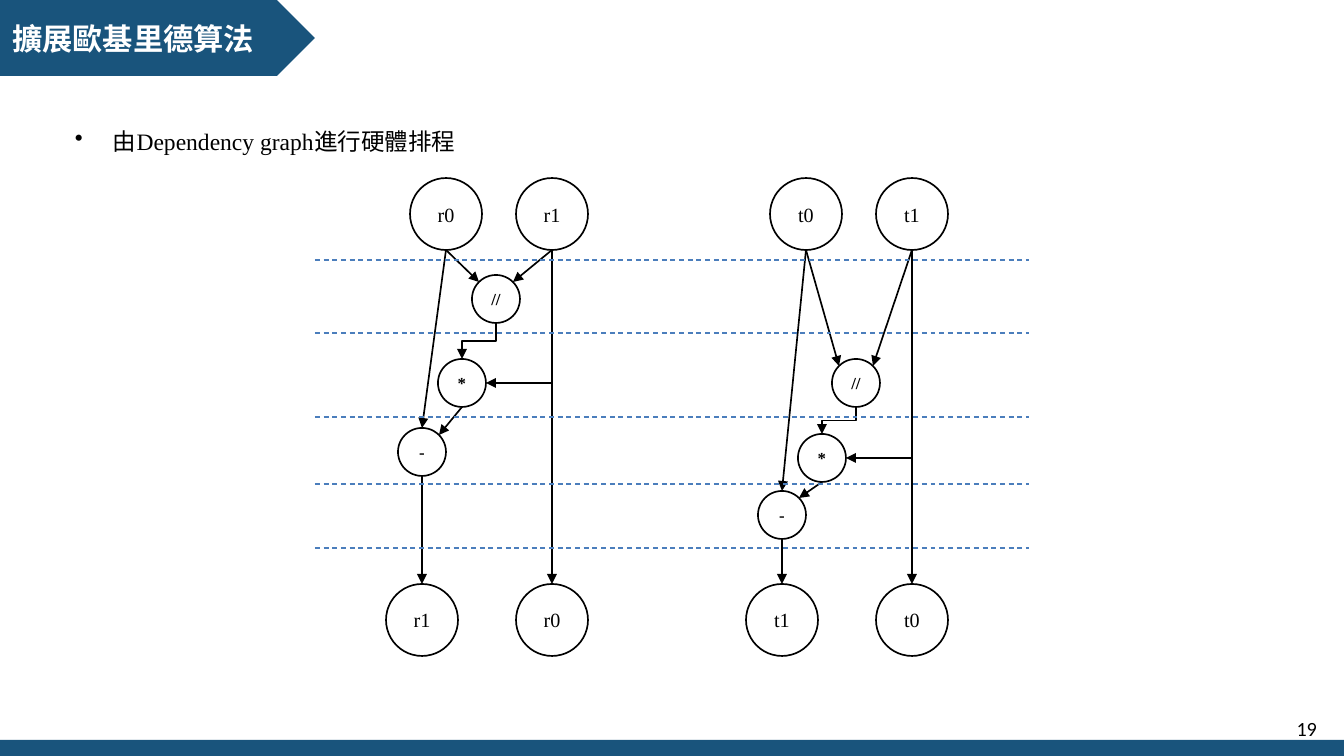
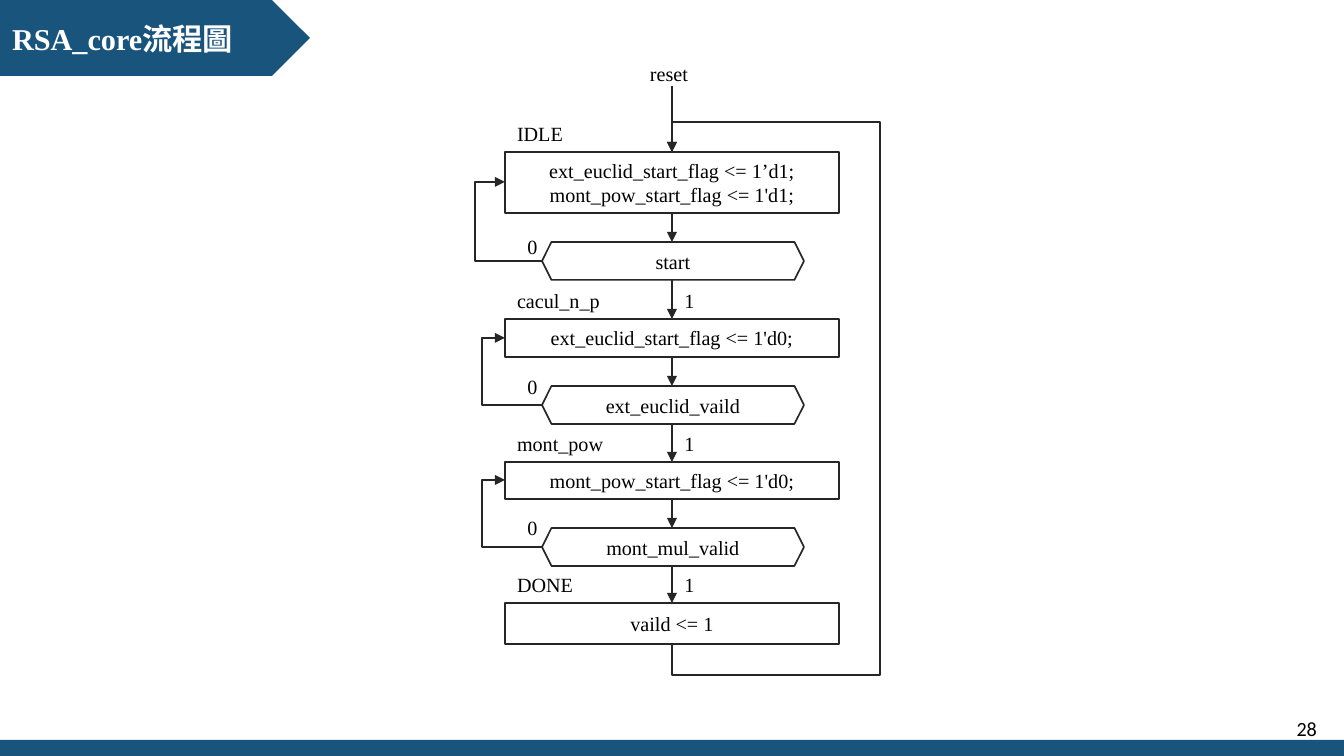
from dataclasses import dataclass
from typing import Any

from lxml import etree
from pptx import Presentation
from pptx import util as u
from pptx.dml.color import RGBColor
from pptx.enum import dml, shapes, text
from pptx.oxml.ns import qn

# Shared look
PX = 914400 / 121
WIDTH, HEIGHT = 1344, 756
NAVY = RGBColor(0x19, 0x54, 0x7C)
BLUE = RGBColor(0x4B, 0x7E, 0xBC)
DARK = RGBColor(0x26, 0x26, 0x26)
BLACK = RGBColor(0, 0, 0)
WHITE = RGBColor(0xFF, 0xFF, 0xFF)
SERIF, SANS = "Times New Roman", "Calibri"
LEFT, CENTER, RIGHT = text.PP_ALIGN.LEFT, text.PP_ALIGN.CENTER, text.PP_ALIGN.RIGHT
TOP, MIDDLE = text.MSO_ANCHOR.TOP, text.MSO_ANCHOR.MIDDLE
Kind = shapes.MSO_SHAPE
Point = tuple[int, int]


@dataclass(frozen=True)
class Box:
    left: int
    top: int
    width: int
    height: int


@dataclass(frozen=True)
class Graph:
    left: int
    name: str
    divide_y: int
    times_y: int
    minus_y: int


@dataclass(frozen=True)
class State:
    name: str
    top: int
    height: int
    code: str
    test: str = ""
    test_top: int = 0
    zero_top: int = 0
    loop_x: int = 0


def emu(pixels: float) -> int:
    return round(pixels * PX)


def assign(target: Any, values: dict[str, Any]) -> None:
    for name, value in values.items():
        setattr(target, name, value)


def place(box: Box) -> tuple[int, int, int, int]:
    return emu(box.left), emu(box.top), emu(box.width), emu(box.height)


# Text and shapes
def write(shape: Any, words: str, size: int = 12, align: Any = CENTER, anchor: Any = MIDDLE,
          color: RGBColor = BLACK, bold: bool = False, font: str = SERIF,
          margin: int = 0, wrap: bool = False) -> None:
    frame = shape.text_frame
    frame.text = words
    assign(frame, {"auto_size": text.MSO_AUTO_SIZE.NONE, "word_wrap": wrap,
                   "vertical_anchor": anchor,
                   "margin_left": emu(margin), "margin_right": emu(margin),
                   "margin_top": emu(margin / 2), "margin_bottom": emu(margin / 2)})
    for para in frame.paragraphs:
        para.alignment = align
        for span in para.runs:
            assign(span.font, {"name": font, "size": u.Pt(size), "bold": bold})
            span.font.color.rgb = color


def add_text(page: Any, box: Box, words: str, **style: Any) -> Any:
    label = page.shapes.add_textbox(*place(box))
    write(label, words, **style)
    return label


def add_band(page: Any, kind: Any, box: Box) -> Any:
    band = page.shapes.add_shape(kind, *place(box))
    band.shadow.inherit = False
    band.fill.solid()
    band.fill.fore_color.rgb = NAVY
    band.line.fill.background()
    return band


def add_outline(page: Any, kind: Any, box: Box, words: str, color: RGBColor,
                **style: Any) -> None:
    shape = page.shapes.add_shape(kind, *place(box))
    shape.shadow.inherit = False
    shape.fill.background()
    shape.line.color.rgb = color
    shape.line.width = u.Pt(1)
    write(shape, words, **style)


# Lines
def add_head(line: Any) -> None:
    etree.SubElement(line.line._get_or_add_ln(), qn("a:tailEnd"), type="triangle")


def add_line(page: Any, start: Point, end: Point, color: RGBColor = BLACK,
             width: float = 1, head: bool = True,
             kind: Any = shapes.MSO_CONNECTOR.STRAIGHT) -> Any:
    line = page.shapes.add_connector(kind, *map(emu, (*start, *end)))
    line.line.color.rgb = color
    line.line.width = u.Pt(width)
    if head:
        add_head(line)
    etree.SubElement(line._element.spPr, qn("a:effectLst"))
    return line


def add_step_down(page: Any, start: Point, end: Point) -> None:
    """Elbow that runs down, left and down: a level elbow turned by 90 degrees."""
    middle_x, middle_y = (start[0] + end[0]) / 2, (start[1] + end[1]) / 2
    half_x, half_y = (end[1] - start[1]) / 2, (start[0] - end[0]) / 2
    elbow = add_line(page, (middle_x - half_x, middle_y - half_y),
                     (middle_x + half_x, middle_y + half_y),
                     kind=shapes.MSO_CONNECTOR.ELBOW)
    elbow._element.spPr.find(qn("a:xfrm")).set("rot", "5400000")


def add_side_loop(page: Any, start: Point, end: Point, via_x: int) -> None:
    elbow = add_line(page, start, end, DARK, kind=shapes.MSO_CONNECTOR.ELBOW)
    ratio = round(100000 * (start[0] - via_x) / (start[0] - end[0]))
    guides = elbow._element.spPr.find(qn("a:prstGeom")).get_or_add_avLst()
    etree.SubElement(guides, qn("a:gd"), name="adj1", fmla=f"val {ratio}")


def add_route(page: Any, points: list[Point]) -> None:
    corners = [(emu(x), emu(y)) for x, y in points]
    builder = page.shapes.build_freeform(*corners[0], scale=1.0)
    builder.add_line_segments(corners[1:], close=False)
    route = builder.convert_to_shape()
    route.shadow.inherit = False
    route.fill.background()
    route.line.color.rgb = DARK
    route.line.width = u.Pt(1)
    add_head(route)


def start_page(deck: Any, heading: str, band_width: int, number: int) -> Any:
    page = deck.slides.add_slide(deck.slide_layouts[5])
    band = Box(0, 0, band_width, 76)
    arrow = add_band(page, Kind.PENTAGON, band)
    page.shapes._spTree.insert(2, arrow._element)
    title = page.shapes.title
    assign(title, dict(zip(("left", "top", "width", "height"), place(band))))
    write(title, heading, size=18, align=LEFT, color=WHITE, bold=True, margin=12)
    add_band(page, Kind.RECTANGLE, Box(0, 740, WIDTH, HEIGHT - 740))
    add_text(page, Box(1016, 709, 313, 40), str(number), align=RIGHT, font=SANS,
             margin=12, wrap=True)
    return page


# Dependency graphs
BIG, SMALL = 36, 24  # radii
INPUT_Y, OUTPUT_Y = 214, 620
RULES = (260, 333, 417, 484, 548)
GRAPHS = (Graph(422, "r", 299, 383, 452), Graph(782, "t", 383, 458, 515))


def add_node(page: Any, x: int, y: int, radius: int, words: str) -> None:
    small = radius == SMALL
    add_outline(page, Kind.OVAL, Box(x - radius, y - radius, 2 * radius, 2 * radius),
                words, BLACK, size=10 if small else 12, bold=small)


def draw_graph(page: Any, graph: Graph) -> None:
    minus_x = graph.left
    first_x, times_x, divide_x, second_x = (minus_x + gap for gap in (24, 40, 74, 130))
    below_input, above_output = INPUT_Y + BIG, OUTPUT_Y - BIG
    corner = 17  # offset of a small circle's 45 degree point
    nodes = ((first_x, INPUT_Y, BIG, graph.name + "0"),
             (second_x, INPUT_Y, BIG, graph.name + "1"),
             (divide_x, graph.divide_y, SMALL, "//"),
             (times_x, graph.times_y, SMALL, "*"),
             (minus_x, graph.minus_y, SMALL, "-"),
             (minus_x, OUTPUT_Y, BIG, graph.name + "1"),
             (second_x, OUTPUT_Y, BIG, graph.name + "0"))
    for node in nodes:
        add_node(page, *node)
    arrows = (
        ((first_x, below_input), (divide_x - corner, graph.divide_y - corner)),
        ((second_x, below_input), (divide_x + corner, graph.divide_y - corner)),
        ((first_x, below_input), (minus_x, graph.minus_y - SMALL)),
        ((times_x, graph.times_y + SMALL), (minus_x + corner, graph.minus_y - corner)),
        ((second_x, below_input), (second_x, above_output)),
        ((minus_x, graph.minus_y + SMALL), (minus_x, above_output)),
        ((second_x, graph.times_y), (times_x + SMALL, graph.times_y)),
    )
    for start, end in arrows:
        add_line(page, start, end)
    add_step_down(page, (divide_x, graph.divide_y + SMALL), (times_x, graph.times_y - SMALL))


def draw_schedule(deck: Any) -> None:
    page = start_page(deck, "擴展歐基里德算法", 315, 19)
    for graph in GRAPHS:
        draw_graph(page, graph)
    for y in RULES:
        rule = add_line(page, (315, y), (1029, y), BLUE, 0.75, head=False)
        rule.line.dash_style = dml.MSO_LINE.DASH
    point = add_text(page, Box(63, 93, 1220, 60), "由Dependency graph進行硬體排程",
                     size=14, align=LEFT, anchor=TOP, margin=12, wrap=True)
    para = point.text_frame.paragraphs[0]
    layout = para._p.get_or_add_pPr()
    assign_indent = {"marL": emu(38), "indent": -emu(38)}
    for name, value in assign_indent.items():
        layout.set(name, str(value))
    etree.SubElement(layout, qn("a:buChar"), char="•")
    para.line_spacing = 2.0


# Flow chart
AXIS = 672
STATE_LEFT, STATE_WIDTH = 505, 334
TEST_LEFT, TEST_WIDTH, TEST_HEIGHT = 542, 262, 38
LABEL_RISE, LABEL_HEIGHT = 37, 36
STATES = (
    State("IDLE", 152, 61, "ext_euclid_start_flag <= 1’d1;\nmont_pow_start_flag <= 1'd1;",
          "start", 242, 228, 475),
    State("cacul_n_p", 319, 38, "ext_euclid_start_flag <= 1'd0;",
          "ext_euclid_vaild", 386, 368, 482),
    State("mont_pow", 462, 37, "mont_pow_start_flag <= 1'd0;",
          "mont_mul_valid", 528, 509, 482),
    State("DONE", 603, 41, "vaild <= 1"),
)


def add_label(page: Any, left: int, top: int, width: int, words: str,
              align: Any = LEFT) -> None:
    add_text(page, Box(left, top, width, LABEL_HEIGHT), words, align=align, anchor=TOP,
             margin=12)


def draw_state(page: Any, state: State) -> None:
    add_label(page, STATE_LEFT, state.top - LABEL_RISE, 120, state.name)
    add_outline(page, Kind.RECTANGLE, Box(STATE_LEFT, state.top, STATE_WIDTH, state.height),
                state.code, DARK)
    if state.test:
        add_outline(page, Kind.HEXAGON,
                    Box(TEST_LEFT, state.test_top, TEST_WIDTH, TEST_HEIGHT),
                    state.test, DARK)
        add_line(page, (AXIS, state.top + state.height), (AXIS, state.test_top), DARK)
        add_side_loop(page, (TEST_LEFT, state.test_top + TEST_HEIGHT // 2),
                      (STATE_LEFT, state.top + state.height // 2), state.loop_x)
        add_label(page, 515, state.zero_top, 35, "0", CENTER)


def draw_flow(deck: Any) -> None:
    page = start_page(deck, "RSA_core流程圖", 310, 28)
    first, last = STATES[0], STATES[-1]
    for state in STATES:
        draw_state(page, state)
    for state, after in zip(STATES, STATES[1:]):
        add_line(page, (AXIS, state.test_top + TEST_HEIGHT), (AXIS, after.top), DARK)
        add_label(page, AXIS, after.top - LABEL_RISE, 35, "1", CENTER)
    add_label(page, 638, 55, 69, "reset")
    add_line(page, (AXIS, 86), (AXIS, first.top), DARK)
    bottom = last.top + last.height
    add_route(page, [(AXIS, bottom), (AXIS, bottom + 31), (880, bottom + 31),
                     (880, first.top - 30), (AXIS, first.top - 30), (AXIS, first.top)])


def main() -> None:
    deck = Presentation()
    assign(deck, {"slide_width": emu(WIDTH), "slide_height": emu(HEIGHT)})
    draw_schedule(deck)
    draw_flow(deck)
    deck.save("out.pptx")


if __name__ == "__main__":
    main()
